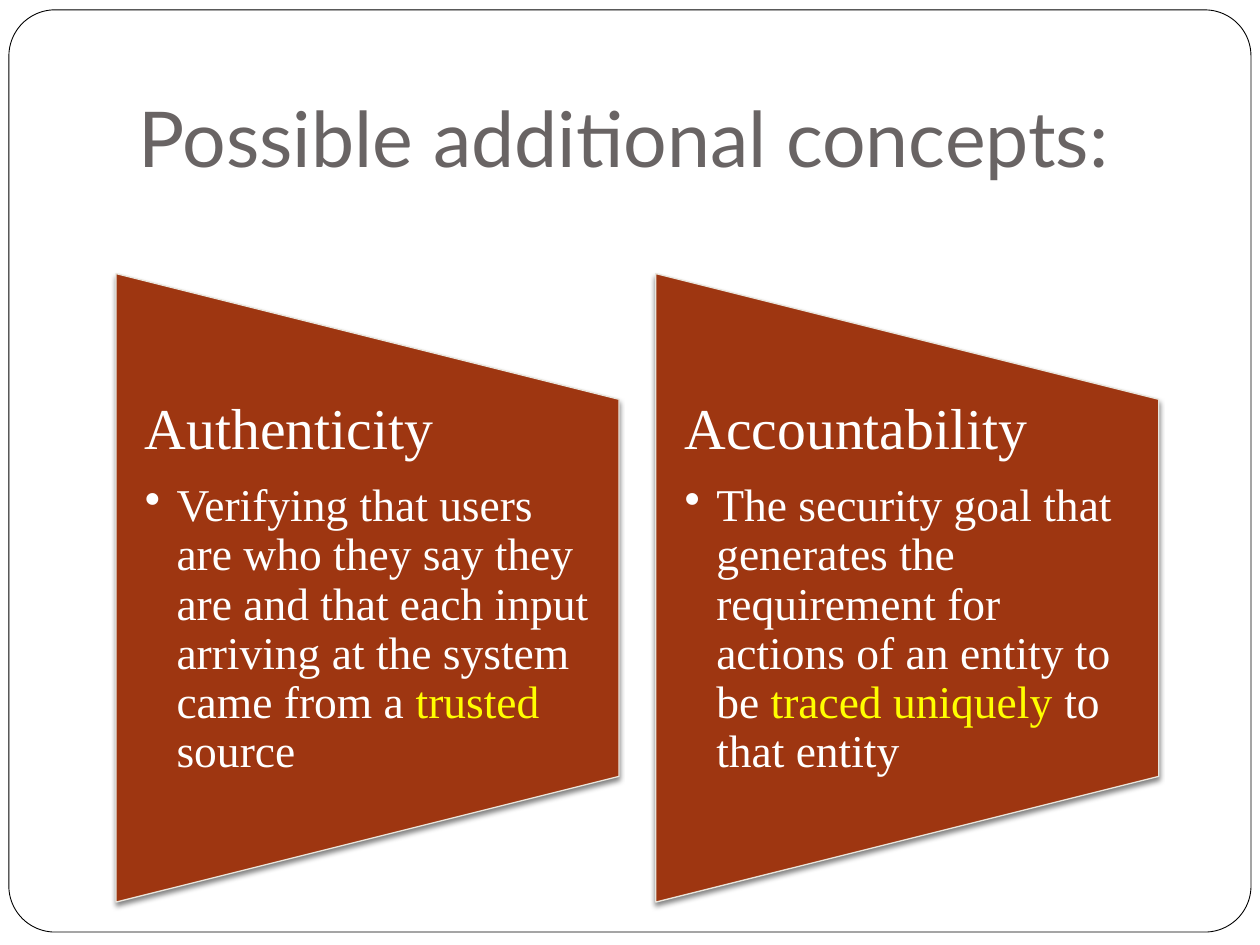
from dataclasses import dataclass

from lxml import etree
from pptx import Presentation
from pptx.dml.color import RGBColor
from pptx.enum.shapes import MSO_SHAPE
from pptx.enum.text import MSO_ANCHOR, PP_ALIGN
from pptx.oxml.ns import qn
from pptx.util import Cm, Pt

ROUND = MSO_SHAPE.ROUNDED_RECTANGLE
PANEL = MSO_SHAPE.FLOWCHART_MANUAL_OPERATION
LEFT = PP_ALIGN.LEFT
TOP, BOTTOM = MSO_ANCHOR.TOP, MSO_ANCHOR.BOTTOM

SERIF = "Times New Roman"
WHITE, YELLOW, RUST = "FFFFFF", "FFFF00", "9E3611"

HIGH, WIDE = 12.67, 10.14  # panel size as seen after its quarter turn
FIRST, STEP = 2.34, 10.88
MID = 11.85  # height of the panels' centre line


@dataclass
class Card:
    head: str
    body: list[tuple[str, str]]


CARDS = [
    Card("Authenticity", [
        ("Verifying that users are who they say they are and that each "
         "input arriving at the system came from a ", WHITE),
        ("trusted", YELLOW),
        (" source", WHITE),
    ]),
    Card("Accountability", [
        ("The security goal that generates the requirement for actions "
         "of an entity to be ", WHITE),
        ("traced uniquely ", YELLOW),
        ("to that entity", WHITE),
    ]),
]


def paint(fill, color: str) -> None:
    fill.solid()
    fill.fore_color.rgb = RGBColor.from_string(color)


def add_run(para, text: str, font: str, size: float, color: str) -> None:
    run = para.add_run()
    run.text = text
    run.font.name = font
    run.font.size = Pt(size)
    paint(run.font.fill, color)


def add_form(slide, kind, box: tuple, fill: str, edge: str, width: float):
    form = slide.shapes.add_shape(kind, *map(Cm, box))
    form.shadow.inherit = False
    paint(form.fill, fill)
    paint(form.line.fill, edge)
    form.line.width = Pt(width)
    return form


def add_shadow(form) -> None:
    effects = form._element.spPr.find(qn("a:effectLst"))
    outer = etree.SubElement(
        effects, qn("a:outerShdw"), blurRad=str(Pt(3)), dist=str(Pt(2)),
        dir="5400000", rotWithShape="0")
    black = etree.SubElement(outer, qn("a:srgbClr"), val="000000")
    etree.SubElement(black, qn("a:alpha"), val="50000")


def add_bullet(para) -> None:
    props = para._p.get_or_add_pPr()
    props.set("marL", str(Cm(0.64)))
    props.set("indent", str(-Cm(0.64)))
    etree.SubElement(props, qn("a:buChar"), char="•")


def set_frame(frame, anchor, sides: float, top: float, base: float) -> None:
    frame.word_wrap = True
    frame.vertical_anchor = anchor
    frame.margin_left = frame.margin_right = Cm(sides)
    frame.margin_top, frame.margin_bottom = Cm(top), Cm(base)


def add_card(slide, card: Card, left: float) -> None:
    mid = left + WIDE / 2
    box = (mid - HIGH / 2, MID - WIDE / 2, HIGH, WIDE)
    panel = add_form(slide, PANEL, box, RUST, "E9E5DC", 0.75)
    panel.rotation = 270
    add_shadow(panel)

    tall = HIGH * 0.6
    area = (left, MID - tall / 2, WIDE, tall)
    frame = slide.shapes.add_textbox(*map(Cm, area)).text_frame
    set_frame(frame, TOP, 0.58, 0, 0)
    head = frame.paragraphs[0]
    head.line_spacing = 0.9
    head.space_after = Pt(12)
    add_run(head, card.head, SERIF, 33, WHITE)

    body = frame.add_paragraph()
    body.level = 1
    add_bullet(body)
    body.line_spacing = 0.9
    for text, color in card.body:
        add_run(body, text, SERIF, 26, color)


def main() -> None:
    deck = Presentation()
    deck.slide_width, deck.slide_height = Cm(25.4), Cm(19.05)
    slide = deck.slides.add_slide(deck.slide_layouts[5])

    border = add_form(slide, ROUND, (0.18, 0.2, 25.04, 18.59),
                      WHITE, "000000", 0.5)
    border.adjustments[0] = 0.05
    slide.shapes._spTree.insert(2, border._element)  # behind the title

    title = slide.shapes.title
    title.left, title.top = Cm(2.54), Cm(0.76)
    title.width, title.height = Cm(21.59), Cm(3.18)
    set_frame(title.text_frame, BOTTOM, 0.25, 0.13, 0.25)
    para = title.text_frame.paragraphs[0]
    para.alignment = LEFT
    add_run(para, "Possible additional concepts:", "Lato", 44, "696464")

    for index, card in enumerate(CARDS):
        add_card(slide, card, FIRST + index * STEP)

    deck.save("out.pptx")


if __name__ == "__main__":
    main()
